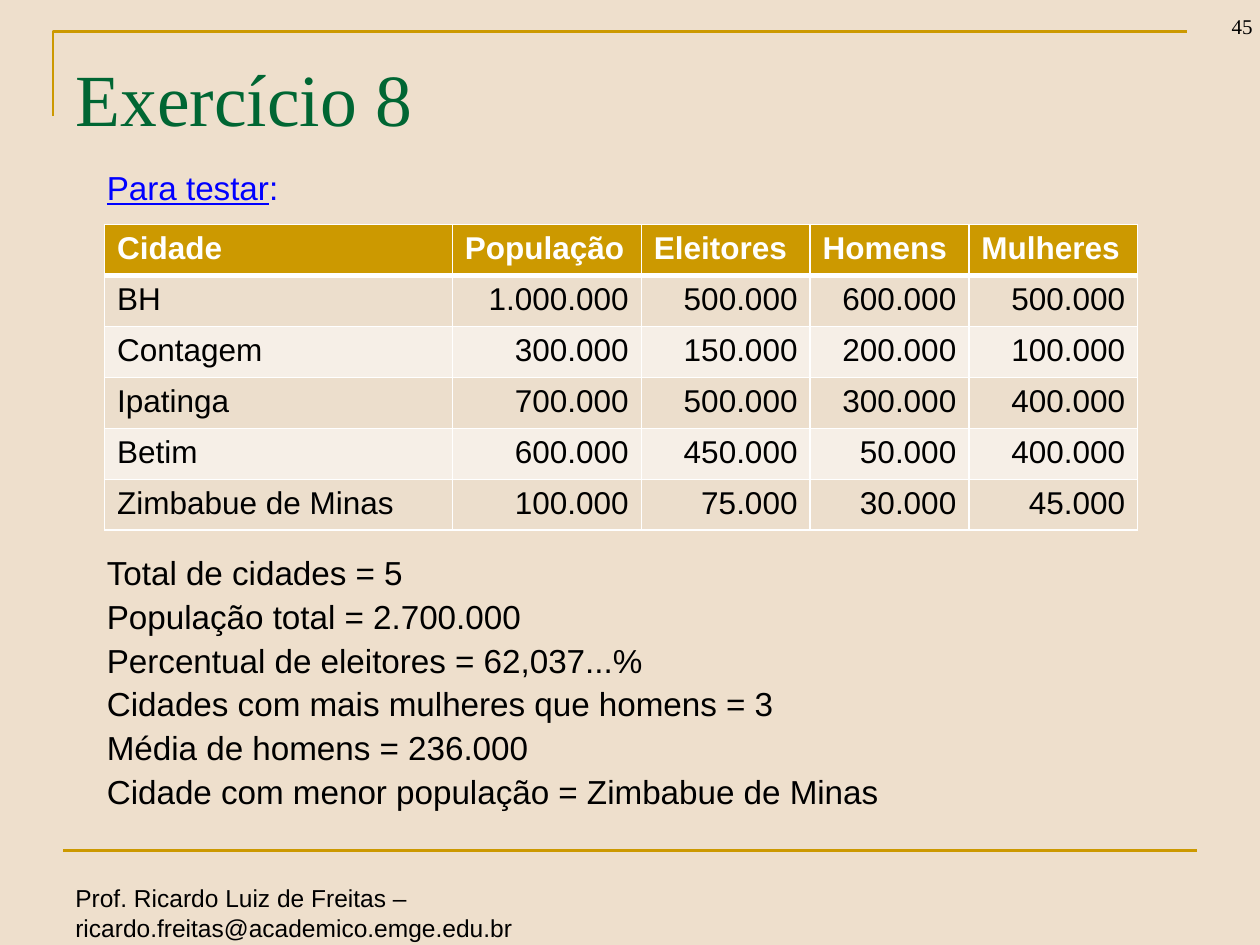
"""Build the "Exercício 8" slide with its test data table and expected results."""
from dataclasses import dataclass

from lxml import etree
from pptx import Presentation
from pptx import util as u
from pptx.dml.color import RGBColor
from pptx.enum import shapes, text
from pptx.oxml import ns

WIDTH, HEIGHT = u.Inches(10), u.Inches(7.5)
SAND = RGBColor(0xEE, 0xDF, 0xCC)
GOLD = RGBColor(0xCC, 0x99, 0x00)
GREEN = RGBColor(0x00, 0x66, 0x33)
BLUE = RGBColor(0x00, 0x00, 0xFF)
BLACK = RGBColor(0x00, 0x00, 0x00)
WHITE = RGBColor(0xFF, 0xFF, 0xFF)
BANDS = RGBColor(0xEC, 0xDE, 0xCC), RGBColor(0xF6, 0xEF, 0xE7)

COLUMN_SHARES = [27.6, 15, 13.4, 12.6, 13.4]
CITIES = [
    ["Cidade", "População", "Eleitores", "Homens", "Mulheres"],
    ["BH", "1.000.000", "500.000", "600.000", "500.000"],
    ["Contagem", "300.000", "150.000", "200.000", "100.000"],
    ["Ipatinga", "700.000", "500.000", "300.000", "400.000"],
    ["Betim", "600.000", "450.000", "50.000", "400.000"],
    ["Zimbabue de Minas", "100.000", "75.000", "30.000", "45.000"],
]
RESULTS = [
    "Total de cidades = 5",
    "População total = 2.700.000",
    "Percentual de eleitores = 62,037...%",
    "Cidades com mais mulheres que homens = 3",
    "Média de homens = 236.000",
    "Cidade com menor população = Zimbabue de Minas",
]


@dataclass(frozen=True)
class Area:
    """A rectangle in percent of the slide's width and height."""
    left: float
    top: float
    width: float
    height: float

    def lengths(self) -> tuple:
        """Return left, top, width and height as slide lengths."""
        return across(self.left), down(self.top), across(self.width), down(self.height)


@dataclass(frozen=True)
class Style:
    """The look of a run of text."""
    size: float
    color: RGBColor = BLACK
    font: str = "Arial"
    bold: bool = False


@dataclass(frozen=True)
class Label:
    """A text box with one paragraph per line of wording."""
    area: Area
    lines: list
    style: Style
    spacing: float = 1.0
    before: float = 0
    align: text.PP_ALIGN = text.PP_ALIGN.LEFT
    anchor: text.MSO_ANCHOR = text.MSO_ANCHOR.TOP


BODY = Style(19)
HEADING = Label(Area(7.5, 17.47, 89, 5.33), ["Para testar:"], Style(19, BLUE), 0.9)
LABELS = [
    Label(Area(7.5, 58.27, 89, 29.33), RESULTS, BODY, 0.9, 4.5),
    Label(Area(5, 92.8, 61, 4.53),
          ["Prof. Ricardo Luiz de Freitas – ricardo.freitas@academico.emge.edu.br"], Style(14)),
    Label(Area(92.9, -1.87, 7.5, 6.67), ["45"], Style(12, font="Times New Roman"),
          align=text.PP_ALIGN.RIGHT, anchor=text.MSO_ANCHOR.BOTTOM),
]


def across(share: float) -> int:
    """Turn a percentage of the slide's width into a length."""
    return u.Emu(round(WIDTH * share / 100))


def down(share: float) -> int:
    """Turn a percentage of the slide's height into a length."""
    return u.Emu(round(HEIGHT * share / 100))


def format_span(span, style: Style) -> None:
    """Apply a style to one run."""
    span.font.size = u.Pt(style.size)
    span.font.name = style.font
    span.font.bold = style.bold
    span.font.color.rgb = style.color


def format_line(line) -> None:
    """Give a rule its gold colour and weight."""
    line.color.rgb = GOLD
    line.width = u.Pt(1.5)


def draw_label(page, label: Label):
    """Add a text box and return its text frame."""
    frame = page.shapes.add_textbox(*label.area.lengths()).text_frame
    frame.word_wrap = True
    frame.vertical_anchor = label.anchor
    frame.text = "\n".join(label.lines)
    for index, para in enumerate(frame.paragraphs):
        para.alignment = label.align
        para.line_spacing = label.spacing
        para.space_before = u.Pt(label.before if index else 0)
        format_span(para.runs[0], label.style)
    return frame


def draw_heading(page) -> None:
    """Add the underlined heading, with its colon left plain."""
    para = draw_label(page, HEADING).paragraphs[0]
    words = para.runs[0]
    words.text = words.text.rstrip(":")
    words.font.underline = True
    colon = para.add_run()
    colon.text = ":"
    format_span(colon, HEADING.style)


def draw_title(page) -> None:
    """Place and format the title placeholder."""
    title = page.shapes.title
    title.left, title.top, title.width, title.height = Area(5, 4, 90, 16.67).lengths()
    frame = title.text_frame
    frame.text = "Exercício 8"
    frame.vertical_anchor = text.MSO_ANCHOR.TOP
    frame.margin_top = u.Inches(0.12)
    frame.paragraphs[0].alignment = text.PP_ALIGN.LEFT
    format_span(frame.paragraphs[0].runs[0], Style(42, GREEN, "Times New Roman"))


def draw_rules(page) -> None:
    """Draw the corner around the title and the line above the footer."""
    builder = page.shapes.build_freeform(across(4.2), down(12.27))
    builder.add_line_segments([(across(4.2), down(3.33)), (across(94.2), down(3.33))], close=False)
    corner = builder.convert_to_shape()
    corner.shadow.inherit = False
    corner.fill.background()
    format_line(corner.line)
    rule = page.shapes.add_connector(
        shapes.MSO_CONNECTOR.STRAIGHT, across(5), down(90), across(95), down(90))
    etree.SubElement(rule.element.spPr, ns.qn("a:effectLst"))
    format_line(rule.line)


def draw_borders(cell, row: int) -> None:
    """Give a cell white borders, thick between the header and the body."""
    weights = {"L": 1, "R": 1, "T": 3 if row == 1 else 1, "B": 3 if row == 0 else 1}
    properties = cell._tc.get_or_add_tcPr()
    for side, weight in weights.items():
        border = etree.SubElement(properties, ns.qn(f"a:ln{side}"), w=str(u.Pt(weight)))
        fill = etree.SubElement(border, ns.qn("a:solidFill"))
        etree.SubElement(fill, ns.qn("a:srgbClr"), val=str(WHITE))


def draw_table(page, area: Area) -> None:
    """Add the table of cities."""
    table = page.shapes.add_table(len(CITIES), len(COLUMN_SHARES), *area.lengths()).table
    for column, share in zip(table.columns, COLUMN_SHARES):
        column.width = across(share)
    for row, values in enumerate(CITIES):
        for column, value in enumerate(values):
            cell = table.cell(row, column)
            draw_borders(cell, row)
            cell.fill.solid()
            cell.fill.fore_color.rgb = BANDS[(row - 1) % 2] if row else GOLD
            cell.text_frame.text = value
            para = cell.text_frame.paragraphs[0]
            para.alignment = text.PP_ALIGN.RIGHT if row and column else text.PP_ALIGN.LEFT
            format_span(para.runs[0], Style(18) if row else Style(18, WHITE, bold=True))


def main() -> None:
    """Build and save the deck."""
    deck = Presentation()
    deck.slide_width, deck.slide_height = WIDTH, HEIGHT
    page = deck.slides.add_slide(deck.slide_layouts.get_by_name("Title Only"))
    page.background.fill.solid()
    page.background.fill.fore_color.rgb = SAND
    draw_rules(page)
    draw_title(page)
    draw_heading(page)
    for label in LABELS:
        draw_label(page, label)
    draw_table(page, Area(8.3, 23.73, 82, 32.4))
    deck.save("out.pptx")


if __name__ == "__main__":
    main()
